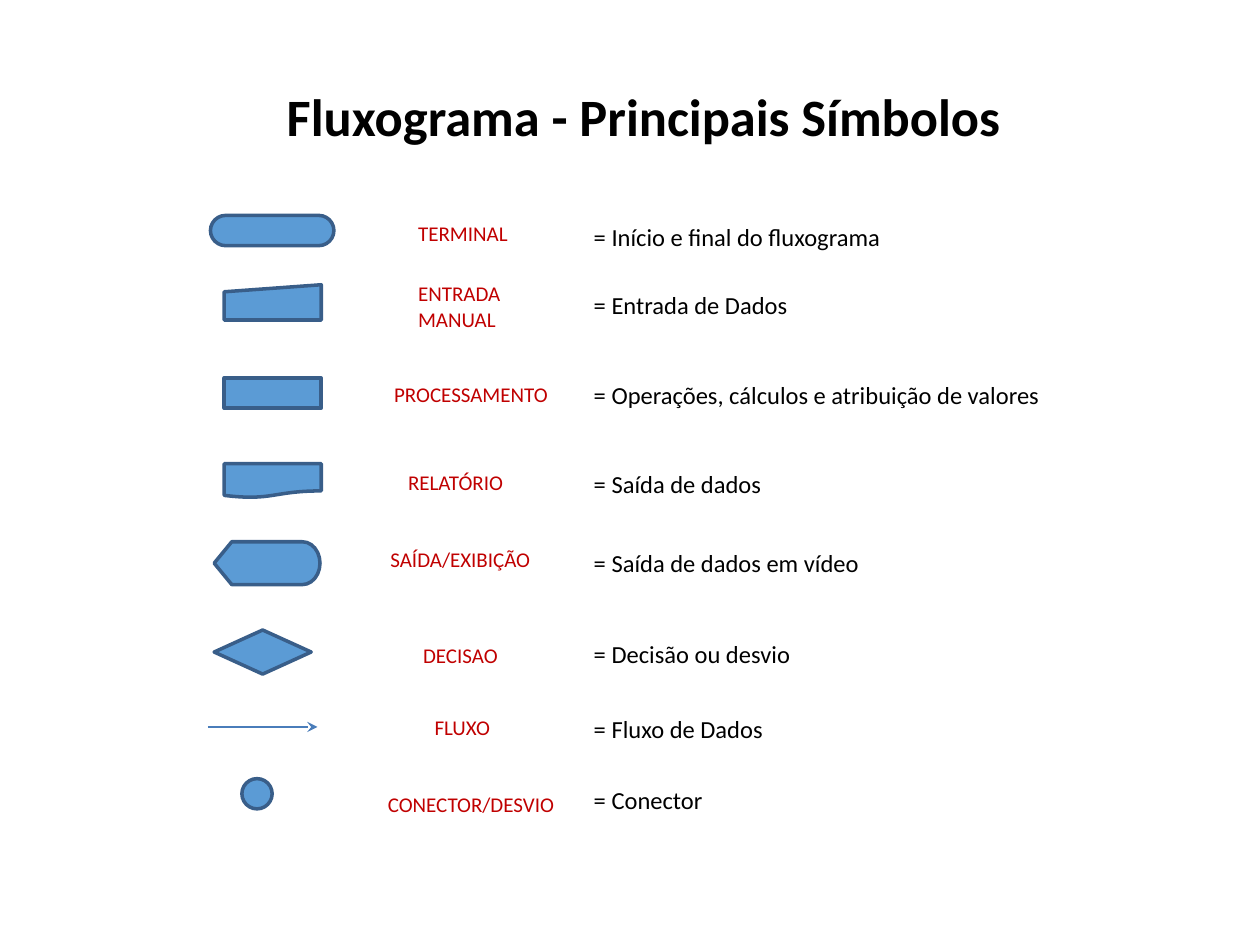
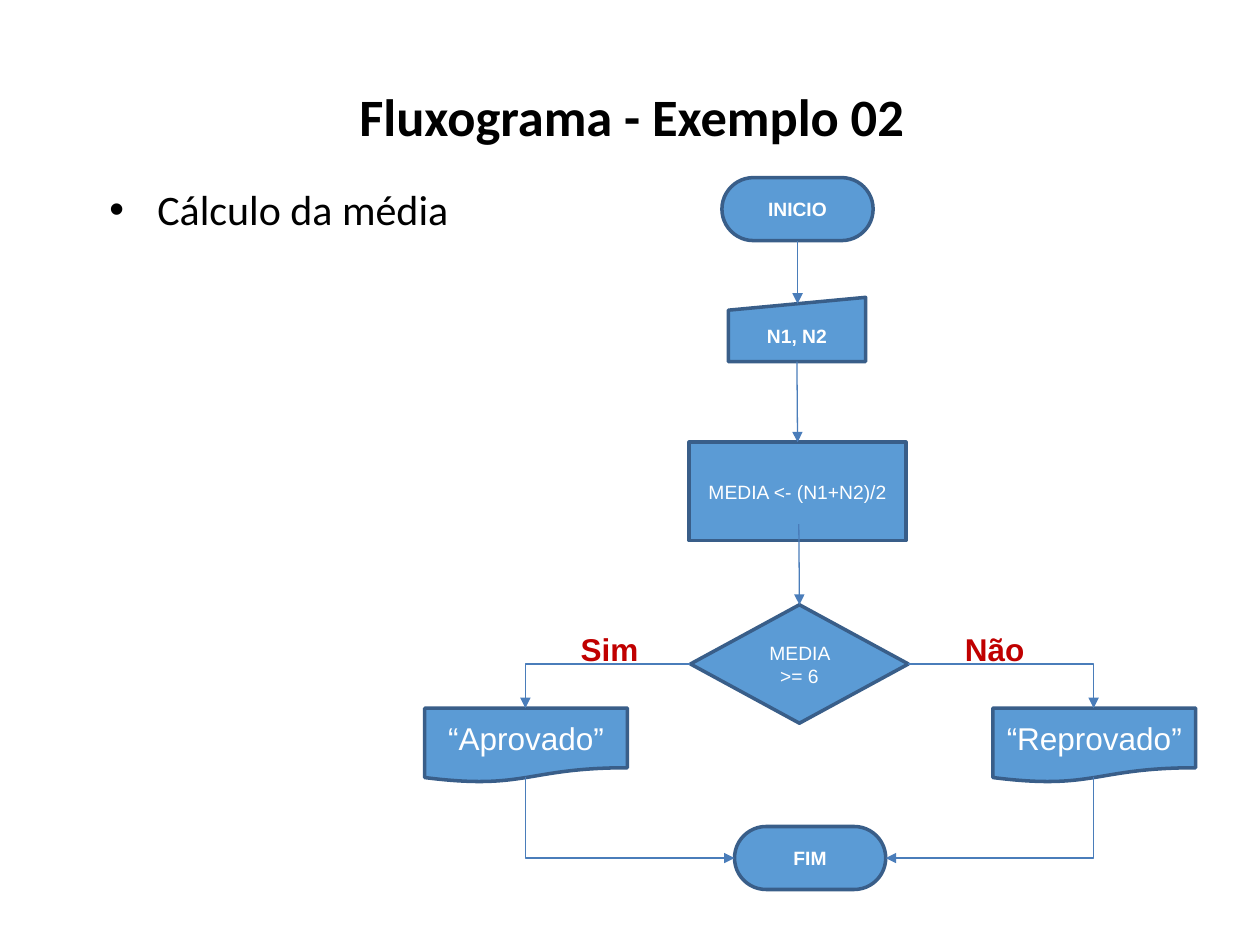
from pptx import Presentation
from pptx.dml.color import RGBColor
from pptx.enum.shapes import MSO_CONNECTOR as CONNECTOR, MSO_SHAPE as SHAPE
from pptx.enum.text import MSO_ANCHOR as ANCHOR, PP_ALIGN as ALIGN
from pptx.oxml.ns import qn
from pptx.util import Inches, Pt
from lxml.etree import SubElement

FILL, OUTLINE, ARROW = "5B9BD5", "395E89", "4A7DBA"
BLACK, WHITE, RED = "000000", "FFFFFF", "C00000"

# symbol, symbol box, term, term left/top/width, meaning, meaning top
SYMBOLS = [
    (SHAPE.ROUNDED_RECTANGLE, (1.67, 1.71, 0.98, 0.24),
     "TERMINAL", (3.22, 1.7, 1.07), "Início e final do fluxograma", 1.71),
    (SHAPE.FLOWCHART_MANUAL_INPUT, (1.78, 2.26, 0.77, 0.28),
     "ENTRADA MANUAL", (3.22, 2.18, 1.44), "Entrada de Dados", 2.25),
    (SHAPE.RECTANGLE, (1.78, 3, 0.77, 0.24),
     "PROCESSAMENTO", (3.03, 2.98, 1.6), "Operações, cálculos e atribuição de valores", 2.97),
    (SHAPE.FLOWCHART_DOCUMENT, (1.78, 3.68, 0.77, 0.27),
     "RELATÓRIO", (3.14, 3.68, 1.23), "Saída de dados", 3.67),
    (SHAPE.FLOWCHART_DISPLAY, (1.7, 4.3, 0.84, 0.34),
     "SAÍDA/EXIBIÇÃO", (3, 4.29, 1.42), "Saída de dados em vídeo", 4.3),
    (SHAPE.FLOWCHART_DECISION, (1.7, 5, 0.77, 0.35),
     "DECISAO", (3.26, 5.05, 1.03), "Decisão ou desvio", 5.02),
    (None, (1.65, 5.77, 0.87, 0),
     "FLUXO", (3.35, 5.62, 0.82), "Fluxo de Dados", 5.62),
    (SHAPE.OVAL, (1.92, 6.18, 0.24, 0.24),
     "CONECTOR/DESVIO", (2.98, 6.23, 1.6), "Conector", 6.18),
]


def color(hex_code):
    """Turn a hex string into a colour."""
    return RGBColor.from_string(hex_code)


def style_text(paragraph, text, size, hex_code, font="Calibri", bold=False):
    """Write text into a paragraph and set its font."""
    paragraph.text = text
    paragraph.font.name = font
    paragraph.font.size = Pt(size)
    paragraph.font.bold = bold
    paragraph.font.color.rgb = color(hex_code)


def add_text(slide, box, text, size, hex_code=BLACK, **font_options):
    """Add a wrapping text box and return its paragraph."""
    frame = slide.shapes.add_textbox(*map(Inches, box)).text_frame
    frame.word_wrap = True
    paragraph = frame.paragraphs[0]
    style_text(paragraph, text, size, hex_code, **font_options)
    return paragraph


def add_title(slide, text, left, width):
    """Add the centred slide title."""
    paragraph = add_text(slide, (left, 0.62, width, 0.61), text, 30, bold=True)
    paragraph.alignment = ALIGN.CENTER


def add_bullet(slide, box, text):
    """Add a text box with one bulleted line."""
    paragraph = add_text(slide, box, text, 24)
    paragraph.line_spacing = 0.9
    properties = paragraph._p.get_or_add_pPr()
    properties.set("marL", str(Inches(0.38)))
    properties.set("indent", str(-Inches(0.38)))
    bullet_font = SubElement(properties, qn("a:buFont"))
    bullet_font.set("typeface", "Arial")
    SubElement(properties, qn("a:buChar")).set("char", "•")
    properties.append(properties.find(qn("a:defRPr")))


def add_symbol(slide, kind, box, text="", size=11, bold=False):
    """Add a flowchart symbol, with its text if any."""
    shape = slide.shapes.add_shape(kind, *map(Inches, box))
    shape.shadow.inherit = False
    shape.fill.solid()
    shape.fill.fore_color.rgb = color(FILL)
    shape.line.color.rgb = color(OUTLINE)
    shape.line.width = Pt(2)
    if kind == SHAPE.ROUNDED_RECTANGLE:
        shape.adjustments[0] = 0.5
    if text:
        frame = shape.text_frame
        frame.word_wrap = True
        frame.vertical_anchor = ANCHOR.MIDDLE
        paragraph = frame.paragraphs[0]
        paragraph.alignment = ALIGN.CENTER
        style_text(paragraph, text, size, WHITE, "Arial", bold)
    return shape


def add_arrow(slide, start, end, head="triangle", kind=CONNECTOR.STRAIGHT):
    """Add a connector with an arrowhead at its end."""
    arrow = slide.shapes.add_connector(kind, *map(Inches, (*start, *end)))
    arrow.line.color.rgb = color(ARROW)
    arrow.line.width = Pt(0.75)
    SubElement(arrow.line._get_or_add_ln(), qn("a:tailEnd")).set("type", head)
    SubElement(arrow._element.spPr, qn("a:effectLst"))
    return arrow


def add_elbow(slide, start, end, down_first=False):
    """Add an arrow with one corner, going sideways or down first."""
    if down_first:
        (x1, y1), (x2, y2) = start, end
        side = 1 if x2 > x1 else -1
        middle_x, middle_y = (x1 + x2) / 2, (y1 + y2) / 2
        half_width, half_height = side * (y2 - y1) / 2, abs(x2 - x1) / 2
        start = middle_x + half_width, middle_y - half_height
        end = middle_x - half_width, middle_y + half_height
    arrow = add_arrow(slide, start, end, kind=CONNECTOR.ELBOW)
    properties = arrow._element.spPr
    properties.find(qn("a:prstGeom")).set("prst", "bentConnector2")
    if down_first:
        degrees = 270 if side > 0 else 90
        properties.find(qn("a:xfrm")).set("rot", str(degrees * 60000))


def build_symbols_slide(slide):
    """Build the list of the main flowchart symbols."""
    add_title(slide, "Fluxograma - Principais Símbolos", 0.65, 8.92)
    for kind, box, term, (left, top, width), meaning, meaning_top in SYMBOLS:
        if kind is None:
            x, y, length, _ = box
            add_arrow(slide, (x, y), (x + length, y), "stealth")
        else:
            add_symbol(slide, kind, box)
        add_text(slide, (left, top, width, 0.3), term, 12, RED)
        add_text(slide, (4.57, meaning_top, 3.85, 0.34), f" = {meaning}", 14)


def build_example_slide(slide):
    """Build the flowchart that works out an average."""
    add_title(slide, "Fluxograma - Exemplo 02", 0.54, 8.95)
    add_bullet(slide, (0.77, 1.45, 4.5, 0.5), "Cálculo da média")

    start = add_symbol(slide, SHAPE.ROUNDED_RECTANGLE, (5.73, 1.41, 1.2, 0.5), "INICIO", bold=True)
    grades = add_symbol(slide, SHAPE.FLOWCHART_MANUAL_INPUT, (5.78, 2.36, 1.09, 0.51),
                        "N1, N2", bold=True)
    average = add_symbol(slide, SHAPE.RECTANGLE, (5.47, 3.51, 1.72, 0.78), "MEDIA <- (N1+N2)/2")
    decision = add_symbol(slide, SHAPE.FLOWCHART_DECISION, (5.48, 4.8, 1.73, 0.94), "MEDIA >= 6")
    add_symbol(slide, SHAPE.ROUNDED_RECTANGLE, (5.83, 6.56, 1.2, 0.5), "FIM", bold=True)

    add_arrow(slide, (6.33, 1.91), (6.33, 2.41)).begin_connect(start, 2)
    grades_to_average = add_arrow(slide, (6.33, 2.87), (6.33, 3.51))
    grades_to_average.begin_connect(grades, 2)
    grades_to_average.end_connect(average, 0)
    add_arrow(slide, (6.34, 4.16), (6.34, 4.8)).end_connect(decision, 0)

    branches = [
        ("“Aprovado”", 3.37, 5.48, 5.83, "Sim", 4.51),
        ("“Reprovado”", 7.88, 7.21, 7.03, "Não", 7.56),
    ]
    for result, left, decision_x, finish_x, answer, answer_left in branches:
        add_symbol(slide, SHAPE.FLOWCHART_DOCUMENT, (left, 5.62, 1.61, 0.59), result, 18)
        center = left + 0.8
        add_elbow(slide, (decision_x, 5.27), (center, 5.62))
        add_elbow(slide, (center, 6.17), (finish_x, 6.81), down_first=True)
        add_text(slide, (answer_left, 4.95, 0.96, 0.42), answer, 18, RED, font="Arial", bold=True)


def main():
    """Build and save the presentation."""
    presentation = Presentation()
    presentation.slide_width = Inches(10)
    presentation.slide_height = Inches(7.5)
    for build in (build_symbols_slide, build_example_slide):
        build(presentation.slides.add_slide(presentation.slide_layouts[6]))
    presentation.save("out.pptx")


if __name__ == "__main__":
    main()
